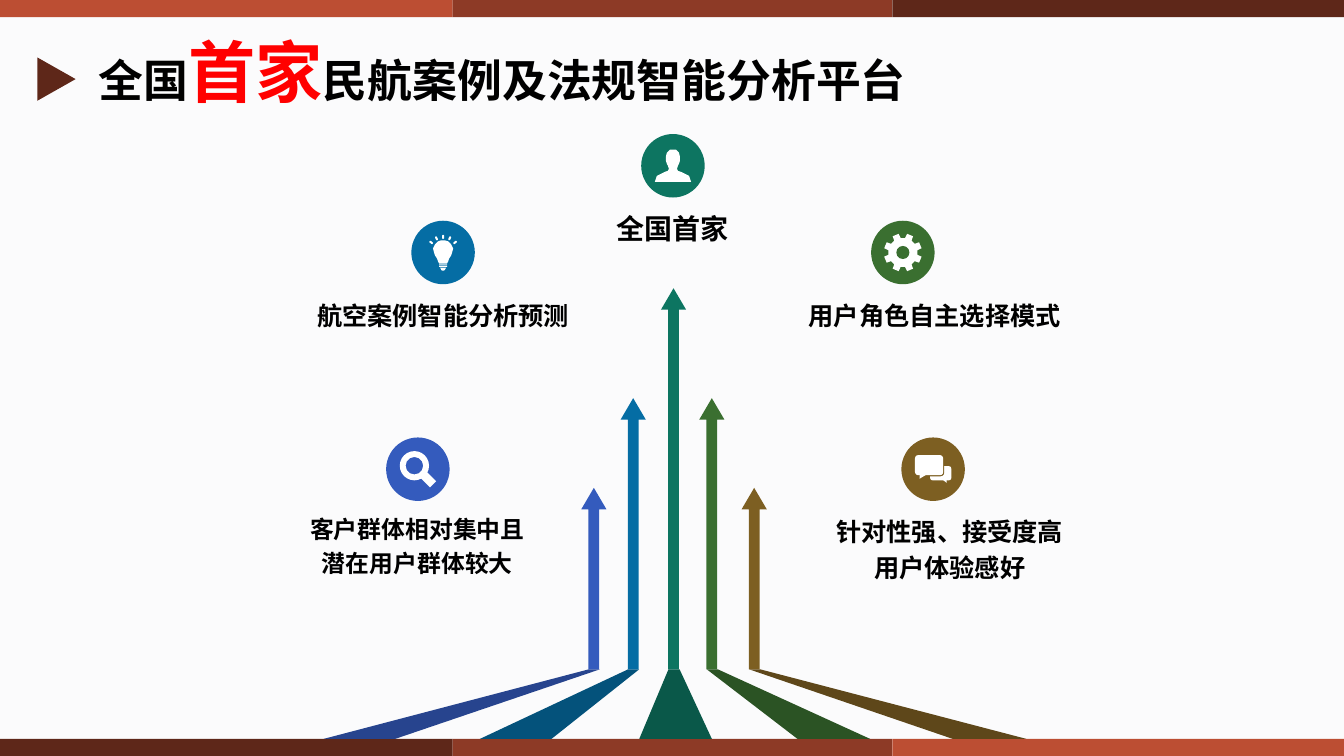
from math import cos, pi, radians, sin

from lxml import etree
from pptx import Presentation
from pptx.dml.color import RGBColor
from pptx.enum.shapes import MSO_SHAPE
from pptx.enum.text import MSO_ANCHOR, MSO_AUTO_SIZE, PP_ALIGN
from pptx.oxml.ns import qn
from pptx.util import Inches, Pt

RECT, ROUNDED = MSO_SHAPE.RECTANGLE, MSO_SHAPE.ROUNDED_RECTANGLE
OVAL, DONUT = MSO_SHAPE.OVAL, MSO_SHAPE.DONUT
UP_ARROW, RIGHT_ARROW = MSO_SHAPE.UP_ARROW, MSO_SHAPE.RIGHT_ARROW
LEFT, CENTER = PP_ALIGN.LEFT, PP_ALIGN.CENTER
TOP, GROW = MSO_ANCHOR.TOP, MSO_AUTO_SIZE.SHAPE_TO_FIT_TEXT

FONT = "Noto Sans CJK SC"
BLACK, RED, WHITE = "000000", "FF0000", "FFFFFF"
DARK, MEDIUM, BRIGHT = "5E2719", "8D3A26", "BC4E33"
BLUE, TEAL, GREEN, BROWN, AZURE = "345BBD", "0D7561", "3A6F30", "7D5F22", "056DA4"
BADGE = 0.63
HORIZON, GROUND = 6.64, 7.33


def paint(shape, color):
    shape.shadow.inherit = False
    shape.fill.solid()
    shape.fill.fore_color.rgb = RGBColor.from_string(color)
    shape.line.fill.background()


def add_block(shapes, kind, left, top, width, height, color, adjust=(), turn=0):
    block = shapes.add_shape(kind, Inches(left), Inches(top), Inches(width), Inches(height))
    for index, value in enumerate(adjust):
        block.adjustments[index] = value
    block.rotation = turn
    paint(block, color)


def add_outline(shapes, points, color):
    corners = [(Inches(x), Inches(y)) for x, y in points]
    builder = shapes.build_freeform(*corners[0])
    builder.add_line_segments(corners[1:], close=True)
    paint(builder.convert_to_shape(), color)


def add_run(paragraph, text, size, color=BLACK):
    run = paragraph.add_run()
    run.text = text
    run.font.size = Pt(size)
    run.font.bold = True
    run.font.name = FONT
    run.font.color.rgb = RGBColor.from_string(color)
    east_asian = etree.SubElement(run._r.get_or_add_rPr(), qn("a:ea"))
    east_asian.set("typeface", FONT)


def add_label(slide, lines, left, top, width, height, size):
    box = slide.shapes.add_textbox(Inches(left), Inches(top), Inches(width), Inches(height))
    frame = box.text_frame
    frame.word_wrap = True
    frame.margin_left = frame.margin_right = frame.margin_top = frame.margin_bottom = 0
    for index, line in enumerate(lines):
        paragraph = frame.add_paragraph() if index else frame.paragraphs[0]
        paragraph.alignment = CENTER
        paragraph.line_spacing = 1.2
        add_run(paragraph, line, size)


def set_title(slide):
    title = slide.shapes.title
    title.left, title.top = Inches(0.88), Inches(0.25)
    title.width, title.height = Inches(8.56), Inches(0.91)
    frame = title.text_frame
    frame.word_wrap = True
    frame.vertical_anchor = TOP
    frame.auto_size = GROW
    paragraph = frame.paragraphs[0]
    paragraph.alignment = LEFT
    add_run(paragraph, "全国", 32)
    add_run(paragraph, "首家", 48, RED)
    add_run(paragraph, "民航案例及法规智能分析平台", 32)


def shifted(points, x, y):
    return [(x + dx, y + dy) for dx, dy in points]


def mirrored(half):
    return half + [(-dx, dy) for dx, dy in reversed(half)]


# Icons, each drawn around the centre of its badge
def draw_gear(shapes, x, y, color):
    teeth = []
    for tooth in range(8):
        middle = (tooth + 0.5) * pi / 4
        for radius, turn in ((0.145, -0.24), (0.19, -0.17), (0.19, 0.17), (0.145, 0.24)):
            teeth.append((radius * cos(middle + turn), radius * sin(middle + turn)))
    add_outline(shapes, shifted(teeth, x, y), WHITE)
    add_block(shapes, OVAL, x - 0.065, y - 0.065, 0.13, 0.13, color)


def draw_chat(shapes, x, y, color):
    back_tail = [(0.09, 0.1), (0.135, 0.135), (0.135, 0.1)]
    front_tail = [(-0.135, 0.04), (-0.135, 0.095), (-0.06, 0.05)]
    add_block(shapes, ROUNDED, x - 0.03, y - 0.03, 0.21, 0.14, WHITE)
    add_outline(shapes, shifted(back_tail, x, y), WHITE)
    add_block(shapes, ROUNDED, x - 0.19, y - 0.15, 0.3, 0.22, color)
    add_block(shapes, ROUNDED, x - 0.18, y - 0.14, 0.28, 0.2, WHITE)
    add_outline(shapes, shifted(front_tail, x, y), WHITE)


def draw_person(shapes, x, y, color):
    half = [(0.03, -0.16), (0.06, -0.13), (0.07, -0.09), (0.07, -0.05), (0.06, -0.02),
            (0.05, 0), (0.04, 0.03), (0.05, 0.05), (0.08, 0.06), (0.14, 0.09),
            (0.16, 0.1), (0.18, 0.16)]
    add_outline(shapes, shifted(mirrored(half), x, y), WHITE)


def draw_bulb(shapes, x, y, color):
    glass = [(0.02, -0.12), (0.05, -0.11), (0.08, -0.08), (0.1, -0.04), (0.09, 0),
             (0.08, 0.03), (0.06, 0.06), (0.05, 0.09), (0.04, 0.11)]
    cap = [(0.03, 0.15), (0.02, 0.17), (0.01, 0.18)]
    add_outline(shapes, shifted(mirrored(glass), x, y), WHITE)
    for drop in (0.117, 0.132):
        add_block(shapes, RECT, x - 0.04, y + drop, 0.08, 0.01, WHITE)
    add_outline(shapes, shifted(mirrored(cap), x, y), WHITE)
    for angle in (-50, -25, 0, 25, 50):
        ray_x, ray_y = x + 0.155 * sin(radians(angle)), y - 0.155 * cos(radians(angle))
        add_block(shapes, ROUNDED, ray_x - 0.01, ray_y - 0.02, 0.02, 0.04, WHITE, (0.5,), angle)


def draw_magnifier(shapes, x, y, color):
    handle = [(0.03, 0.09), (0.12, 0.18), (0.18, 0.12), (0.09, 0.03)]
    add_outline(shapes, shifted(handle, x, y), WHITE)
    add_block(shapes, DONUT, x - 0.18, y - 0.18, 0.29, 0.29, WHITE, (0.2,))


def add_badge(slide, left, top, color, draw_icon):
    shapes = slide.shapes.add_group_shape().shapes
    add_block(shapes, OVAL, left, top, BADGE, BADGE, color)
    draw_icon(shapes, left + BADGE / 2, top + BADGE / 2, color)


def add_path(slide, center, length, foot_left, foot_right, color, shade):
    road = [(center - 0.05, HORIZON), (center + 0.06, HORIZON),
            (foot_right, GROUND), (foot_left, GROUND)]
    add_outline(slide.shapes, road, shade)
    add_block(slide.shapes, UP_ARROW, center - 0.125, HORIZON - length, 0.25, length,
              color, (0.426, 0.852))


def main():
    deck = Presentation()
    deck.slide_width, deck.slide_height = Inches(13.33), Inches(7.5)
    slide = deck.slides.add_slide(deck.slide_layouts[5])
    slide.background.fill.solid()
    slide.background.fill.fore_color.rgb = RGBColor.from_string("FBFBFC")

    # Top and bottom bands
    for top, colors in ((0, (BRIGHT, MEDIUM, DARK)), (GROUND, (DARK, MEDIUM, BRIGHT))):
        for left, right, color in zip((0, 4.49, 8.85), (4.49, 8.85, 13.33), colors):
            add_block(slide.shapes, RECT, left, top, right - left, 0.17, color)

    # Title with its marker
    add_block(slide.shapes, RIGHT_ARROW, 0.37, 0.57, 0.38, 0.43, DARK, (0.5, 1))
    set_title(slide)

    # Advantages: badge, then label
    for left, top, color, icon in (
            (8.64, 2.19, GREEN, draw_gear), (8.94, 4.34, BROWN, draw_chat),
            (6.36, 1.33, TEAL, draw_person), (4.08, 2.19, AZURE, draw_bulb),
            (3.83, 4.34, BLUE, draw_magnifier)):
        add_badge(slide, left, top, color, icon)
    add_label(slide, ["用户角色自主选择模式"], 7.83, 2.92, 2.88, 0.63, 18)
    add_label(slide, ["针对性强、接受度高", "用户体验感好"], 8.12, 5.06, 2.6, 1.21, 18)
    add_label(slide, ["全国首家"], 5.55, 2.03, 2.24, 0.63, 20)
    add_label(slide, ["航空案例智能分析预测"], 2.92, 2.92, 2.95, 0.63, 18)
    add_label(slide, ["客户群体相对集中且潜在用户群体较大"], 3.02, 5.05, 2.24, 1.07, 17)

    # Roads that rise into arrows
    for road in ((7.48, 1.8, 9.45, 10.18, BROWN, "5E471A"),
                 (7.06, 2.69, 7.91, 8.63, GREEN, "2B5324"),
                 (6.68, 3.78, 6.34, 7.06, TEAL, "0A5849"),
                 (6.28, 2.69, 4.76, 5.47, AZURE, "04527B"),
                 (5.89, 1.8, 3.21, 3.92, BLUE, "27448E")):
        add_path(slide, *road)

    deck.save("out.pptx")


if __name__ == "__main__":
    main()
